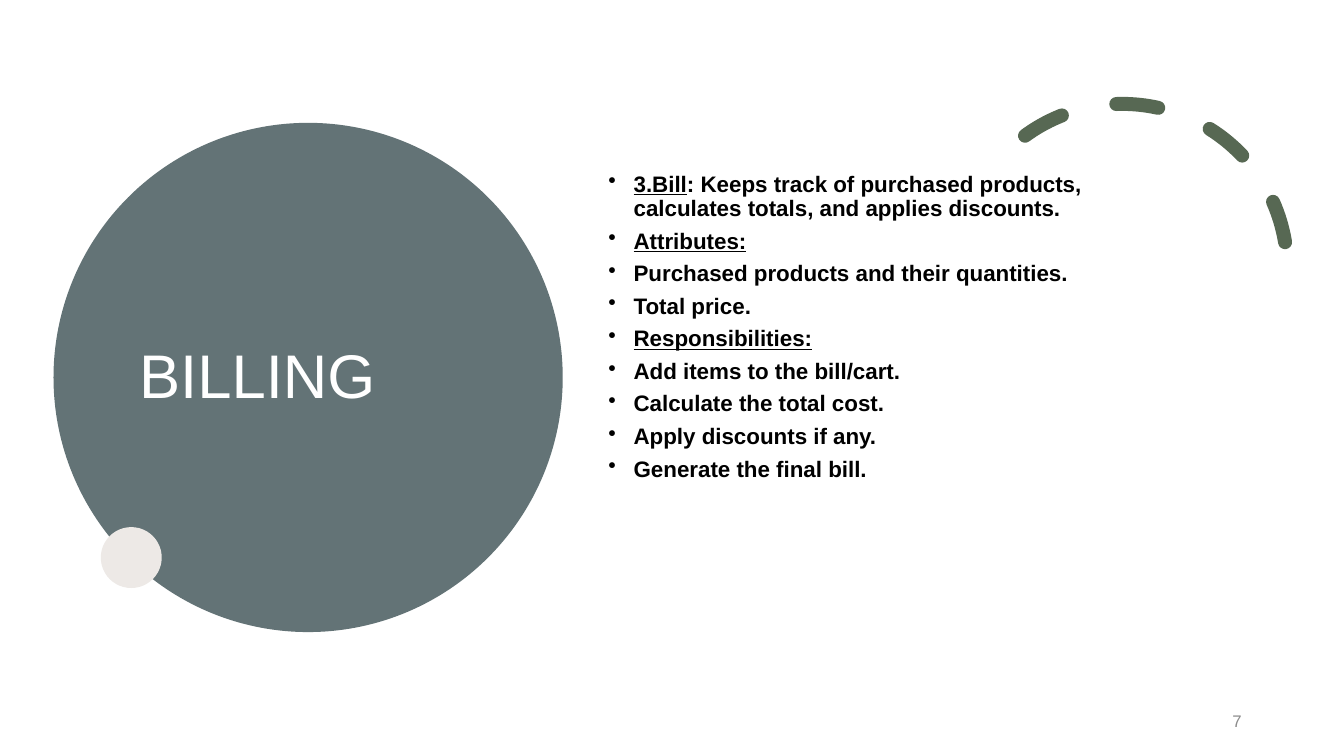
from lxml.etree import SubElement
from pptx import Presentation
from pptx.dml.color import RGBColor
from pptx.enum.dml import MSO_LINE
from pptx.enum.shapes import MSO_SHAPE
from pptx.enum.text import MSO_ANCHOR, MSO_AUTO_SIZE, PP_ALIGN
from pptx.oxml.ns import qn
from pptx.util import Pt

PX = 9525  # EMU per px, at 96 px to the inch
FONT = "Arial"
WHITE = RGBColor(0xFF, 0xFF, 0xFF)
BLACK = RGBColor(0x00, 0x00, 0x00)
SLATE = RGBColor(0x63, 0x73, 0x76)
GREEN = RGBColor(0x57, 0x68, 0x53)
SAND = RGBColor(0xED, 0xE9, 0xE6)
GREY = RGBColor(0x8C, 0x8C, 0x8C)

# Each bullet is (underlined part, plain part)
BULLETS = [
    ("3.Bill", ": Keeps track of purchased products, calculates totals, and applies discounts."),
    ("Attributes:", ""),
    ("", "Purchased products and their quantities."),
    ("", "Total price."),
    ("Responsibilities:", ""),
    ("", "Add items to the bill/cart."),
    ("", "Calculate the total cost."),
    ("", "Apply discounts if any."),
    ("", "Generate the final bill."),
]


def emu(*lengths):
    return [length * PX for length in lengths]


def style(para, size, color, bold=False):
    para.font.name = FONT
    para.font.size = Pt(size)
    para.font.bold = bold
    para.font.color.rgb = color


def add_circle(page, left, top, size, color):
    circle = page.shapes.add_shape(MSO_SHAPE.OVAL, *emu(left, top, size, size))
    circle.shadow.inherit = False
    circle.fill.solid()
    circle.fill.fore_color.rgb = color
    circle.line.fill.background()


def add_text_box(page, left, top, width, height):
    frame = page.shapes.add_textbox(*emu(left, top, width, height)).text_frame
    frame.word_wrap = True
    return frame


def add_title_disc(page, left, top, size):
    add_circle(page, left, top, size, SLATE)
    title = page.shapes.title
    title.left, title.top, title.width, title.height = emu(left + 72, top + 30, 340, 427)
    page.shapes.element.append(title.element)  # bring the title in front of the disc
    frame = title.text_frame
    frame.text = "BILLING"
    frame.auto_size = MSO_AUTO_SIZE.NONE
    frame.vertical_anchor = MSO_ANCHOR.MIDDLE
    para = frame.paragraphs[0]
    para.alignment = PP_ALIGN.LEFT
    para.line_spacing = 0.9
    style(para, 44, WHITE)
    add_circle(page, left + 45, top + 385, 58, SAND)


def add_dashed_arc(page, left, top, size):
    arc = page.shapes.add_shape(MSO_SHAPE.ARC, *emu(left, top, size, size))
    arc.shadow.inherit = False
    arc.adjustments[0] = 158.17
    arc.adjustments[1] = 17.81
    arc.rotation = 330.2
    arc.fill.background()
    arc.line.color.rgb = GREEN
    arc.line.width = Pt(10)
    arc.line.dash_style = MSO_LINE.DASH
    arc.line.fill  # the line element now exists
    arc.element.spPr.find(qn("a:ln")).set("cap", "rnd")


def add_bullets(page, left, top, width, height):
    frame = add_text_box(page, left, top, width, height)
    for index, parts in enumerate(BULLETS):
        para = frame.add_paragraph() if index else frame.paragraphs[0]
        para.line_spacing = 0.9
        para.space_after = Pt(6)
        style(para, 16, BLACK, bold=True)
        for text, underlined in zip(parts, (True, False)):
            if text:
                span = para.add_run()
                span.text = text
                span.font.underline = underlined
        # Hanging indent and bullet
        properties = para._p.get_or_add_pPr()
        properties.set("marL", str(30 * PX))
        properties.set("indent", str(-24 * PX))
        bullet = SubElement(properties, qn("a:buChar"))
        bullet.set("char", "•")
        properties.find(qn("a:defRPr")).addprevious(bullet)


def add_page_number(page, left, top, width, height):
    frame = add_text_box(page, left, top, width, height)
    frame.vertical_anchor = MSO_ANCHOR.MIDDLE
    para = frame.paragraphs[0]
    para.text = "7"
    para.alignment = PP_ALIGN.RIGHT
    para.space_after = Pt(6)
    style(para, 12, GREY)


def main():
    deck = Presentation()
    deck.slide_width, deck.slide_height = emu(1280, 720)
    page = deck.slides.add_slide(deck.slide_layouts.get_by_name("Title Only"))
    page.background.fill.solid()
    page.background.fill.fore_color.rgb = WHITE
    add_title_disc(page, 51, 117, 485)
    add_dashed_arc(page, 912, 99, 314)
    add_bullets(page, 564, 160, 581, 413)
    add_page_number(page, 904, 667, 288, 38)
    deck.save("out.pptx")


if __name__ == "__main__":
    main()
